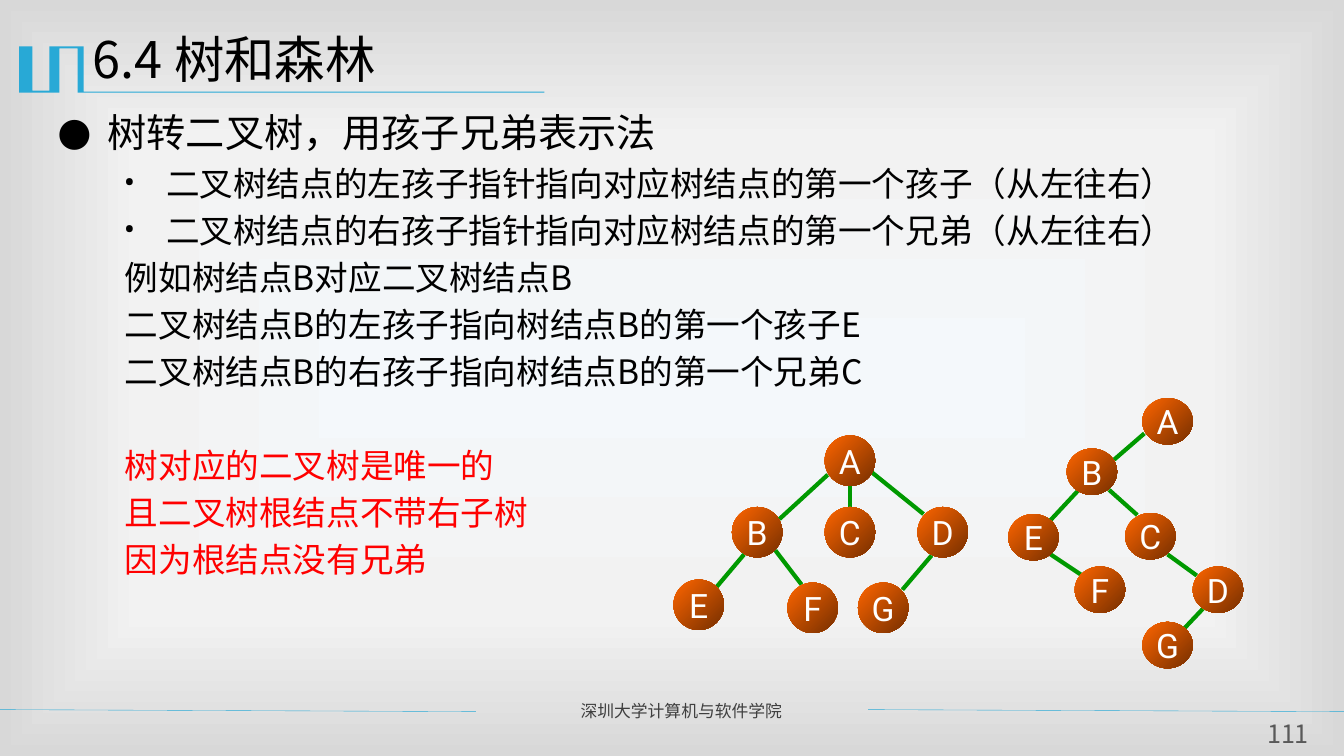
from lxml.etree import SubElement
from pptx import Presentation
from pptx.dml.color import RGBColor
from pptx.enum.shapes import MSO_CONNECTOR, MSO_SHAPE
from pptx.enum.text import MSO_ANCHOR, PP_ALIGN
from pptx.oxml import parse_xml
from pptx.oxml.ns import nsdecls, qn
from pptx.util import Pt

PX = 9144  # 100 px to the inch
CJK, LATIN = "Noto Sans CJK SC", "Roboto"
BLACK, RED, BLUE, GREEN = "000000", "FF0000", "28A9D6", "009900"
BACKDROP = [(0, "F4F8FB"), (63, "F2F2F2"), (100, "D8D8D8")]
NODE_SHADES = ["FF6600", "762F00"]

BANNER = [(82, 46), (83, 46), (83, 91), (540, 91), (540, 92), (77, 92),
          (77, 48), (59, 48), (59, 92), (19, 92), (19, 46), (32, 46),
          (32, 90), (49, 90), (49, 46)]

POINT = dict(size=24, margin=108, hanging=42, bullet="•", before=5.5)
EXAMPLE = dict(size=24, margin=67, before=5.5)
CONCLUSION = dict(EXAMPLE, color=RED)
BODY = [
    ("树转二叉树，用孩子兄弟表示法",
     dict(size=28, margin=50, hanging=50, bullet="●")),
    ("二叉树结点的左孩子指针指向对应树结点的第一个孩子（从左往右）", POINT),
    ("二叉树结点的右孩子指针指向对应树结点的第一个兄弟（从左往右）", POINT),
    ("例如树结点B对应二叉树结点B", EXAMPLE),
    ("二叉树结点B的左孩子指向树结点B的第一个孩子E", EXAMPLE),
    ("二叉树结点B的右孩子指向树结点B的第一个兄弟C", EXAMPLE),
    ("树对应的二叉树是唯一的", dict(CONCLUSION, before=39)),
    ("且二叉树根结点不带右子树", CONCLUSION),
    ("因为根结点没有兄弟", CONCLUSION),
]

# Nodes by left and top; edges run from rim to rim
TREE_NODES = {"A": (818, 432), "B": (726, 503), "C": (818, 503),
              "D": (910, 503), "E": (668, 575), "F": (781, 578),
              "G": (851, 578)}
TREE_EDGES = [(864, 468, 916, 510), (821, 471, 773, 515), (843, 482, 843, 503),
              (738, 550, 711, 582), (769, 546, 795, 580), (924, 551, 895, 585)]
BINARY_NODES = {"A": (1133, 395), "B": (1058, 445), "C": (1116, 509),
                "D": (1183, 562), "E": (1000, 510), "F": (1066, 562),
                "G": (1133, 617)}
BINARY_EDGES = [(1135, 430, 1105, 456), (1069, 487, 1042, 516),
                (1100, 486, 1128, 511), (1042, 550, 1072, 570),
                (1158, 550, 1187, 571), (1193, 604, 1175, 623)]


def rgb(color):
    return RGBColor.from_string(color)


def emu(*lengths):
    return [round(length * PX) for length in lengths]


def write(paragraph, text, size=24, color=BLACK, font=CJK, align=PP_ALIGN.LEFT,
          margin=0, hanging=0, bullet=None, before=0, leading=1.17):
    """Fill a paragraph; leading is the line height as a multiple of the size."""
    properties = paragraph._p.get_or_add_pPr()
    left, indent = emu(margin, -hanging)
    properties.set("marL", str(left))
    properties.set("indent", str(indent))
    paragraph.alignment = align
    paragraph.space_before = Pt(before)
    if leading:
        paragraph.line_spacing = Pt(size * leading)
    if bullet:
        SubElement(properties, qn("a:buFont"), typeface=LATIN)
        SubElement(properties, qn("a:buChar"), char=bullet)
    else:
        SubElement(properties, qn("a:buNone"))
    run = paragraph.add_run()
    run.text = text
    run.font.size = Pt(size)
    run.font.color.rgb = rgb(color)
    run.font.name = font
    SubElement(run._r.get_or_add_rPr(), qn("a:ea"), typeface=font)


def set_frame(frame, inset=(10, 5), anchor=MSO_ANCHOR.TOP, wrap=True):
    frame.word_wrap = wrap
    frame.vertical_anchor = anchor
    across, down = emu(*inset)
    frame.margin_left = frame.margin_right = across
    frame.margin_top = frame.margin_bottom = down


class SlideBuilder:
    def __init__(self, slide):
        self.slide = slide
        self.shapes = slide.shapes

    def background(self, stops):
        stop_xml = "".join(
            f'<a:gs pos="{share * 1000}"><a:srgbClr val="{color}"/></a:gs>'
            for share, color in stops)
        self.slide.element.cSld.insert(0, parse_xml(
            f'<p:bg {nsdecls("p", "a")}><p:bgPr><a:gradFill rotWithShape="1">'
            f'<a:gsLst>{stop_xml}</a:gsLst><a:path path="rect">'
            '<a:fillToRect l="50000" t="50000" r="50000" b="50000"/></a:path>'
            '</a:gradFill><a:effectLst/></p:bgPr></p:bg>'))

    def title(self, box, text, **style):
        title = self.shapes.title
        title.left, title.top, title.width, title.height = emu(*box)
        set_frame(title.text_frame)
        write(title.text_frame.paragraphs[0], text, **style)

    def text(self, box, paragraphs, inset=(10, 5)):
        frame = self.shapes.add_textbox(*emu(*box)).text_frame
        set_frame(frame, inset)
        for index, (text, style) in enumerate(paragraphs):
            paragraph = frame.add_paragraph() if index else frame.paragraphs[0]
            write(paragraph, text, **style)

    def outline(self, points, color):
        builder = self.shapes.build_freeform(*points[0], scale=PX)
        builder.add_line_segments(points[1:], close=True)
        shape = builder.convert_to_shape()
        shape.shadow.inherit = False
        shape.fill.solid()
        shape.fill.fore_color.rgb = rgb(color)
        shape.line.fill.background()

    def line(self, ends, color, width):
        connector = self.shapes.add_connector(
            MSO_CONNECTOR.STRAIGHT, *emu(*ends))
        connector.line.color.rgb = rgb(color)
        connector.line.width = Pt(width)
        SubElement(connector._element.spPr, qn("a:effectLst"))

    def node(self, box, label):
        circle = self.shapes.add_shape(MSO_SHAPE.OVAL, *emu(*box))
        circle.shadow.inherit = False
        circle.line.fill.background()
        circle.fill.gradient()
        circle.fill.gradient_angle = 315
        for stop, shade in zip(circle.fill.gradient_stops, NODE_SHADES):
            stop.color.rgb = rgb(shade)
        set_frame(circle.text_frame, (0, 5), MSO_ANCHOR.MIDDLE, wrap=False)
        write(circle.text_frame.paragraphs[0], label, color="FFFFFF",
              font=LATIN, align=PP_ALIGN.CENTER, leading=None)

    def tree(self, nodes, edges, node_height):
        for ends in edges:
            self.line(ends, GREEN, 3)
        for label, (left, top) in nodes.items():
            self.node((left, top, 50, node_height), label)


def main():
    deck = Presentation()
    deck.slide_width, deck.slide_height = emu(1333, 750)
    builder = SlideBuilder(deck.slides.add_slide(deck.slide_layouts[5]))
    builder.background(BACKDROP)
    builder.outline(BANNER, BLUE)
    for left, right in [(-1, 472), (861, 1333)]:
        builder.line((left, 704, right, 706), BLUE, 0.25)
    builder.text((566, 691, 285, 30),
                 [("深圳大学计算机与软件学院", dict(size=12, color="3F3F3F"))])
    builder.text((47, 104, 1213, 225), BODY)
    builder.title((82, 24, 1200, 87), "6.4 树和森林", size=36)
    builder.text((1248, 713, 59, 31),
                 [("111", dict(size=18, color="595959", align=PP_ALIGN.CENTER))],
                 inset=(0, 0))
    builder.tree(TREE_NODES, TREE_EDGES, 50)
    builder.tree(BINARY_NODES, BINARY_EDGES, 46)
    deck.save("out.pptx")


if __name__ == "__main__":
    main()
